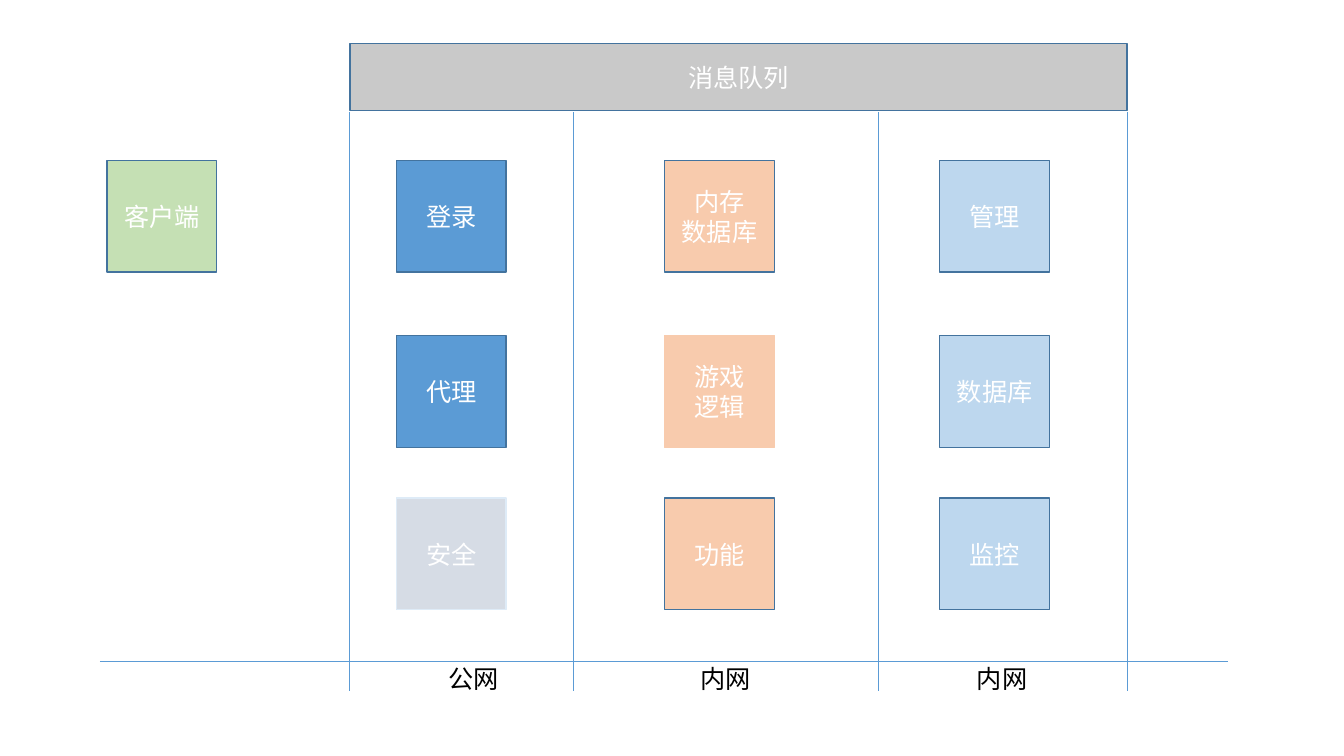
from pptx import Presentation
from pptx.dml.color import RGBColor
from pptx.enum.shapes import MSO_CONNECTOR, MSO_SHAPE
from pptx.enum.text import MSO_ANCHOR, MSO_AUTO_SIZE, PP_ALIGN
from pptx.oxml.ns import qn
from pptx.util import Inches, Pt
from lxml import etree

RECTANGLE = MSO_SHAPE.RECTANGLE
STRAIGHT = MSO_CONNECTOR.STRAIGHT
MIDDLE = MSO_ANCHOR.MIDDLE
CENTER = PP_ALIGN.CENTER
LEFT = PP_ALIGN.LEFT
FIT_SHAPE = MSO_AUTO_SIZE.SHAPE_TO_FIT_TEXT

BORDER = "43739E"
PEACH = "F8CBAD"
BLUE = "5B9BD5"
PALE_BLUE = "BDD7EE"


def color(value):
    return RGBColor.from_string(value)


def write_text(frame, text, tint="FFFFFF", size=18, font="Calibri", align=CENTER):
    for index, line in enumerate(text.split("\n")):
        para = frame.add_paragraph() if index else frame.paragraphs[0]
        para.alignment = align
        span = para.add_run()
        span.text = line
        span.font.size = Pt(size)
        span.font.name = font
        span.font.color.rgb = color(tint)


class Diagram:
    rule_color = BLUE
    rule_width = 0.5
    border_width = 1

    def __init__(self, page):
        self.page = page

    def block(self, text, left, top, width, height, fill, border=BORDER):
        box = self.page.shapes.add_shape(
            RECTANGLE, Inches(left), Inches(top), Inches(width), Inches(height))
        box.shadow.inherit = False
        box.fill.solid()
        box.fill.fore_color.rgb = color(fill)
        box.line.color.rgb = color(border)
        box.line.width = Pt(self.border_width)
        box.text_frame.vertical_anchor = MIDDLE
        write_text(box.text_frame, text)

    def rule(self, left, top, right, bottom):
        line = self.page.shapes.add_connector(
            STRAIGHT, Inches(left), Inches(top), Inches(right), Inches(bottom))
        line.line.color.rgb = color(self.rule_color)
        line.line.width = Pt(self.rule_width)
        etree.SubElement(line._element.spPr, qn("a:effectLst"))

    def label(self, text, left, top, width, height):
        box = self.page.shapes.add_textbox(
            Inches(left), Inches(top), Inches(width), Inches(height))
        box.text_frame.word_wrap = False
        box.text_frame.auto_size = FIT_SHAPE
        write_text(box.text_frame, text, tint="000000", align=LEFT)


deck = Presentation()
deck.slide_width = Inches(13.33)
deck.slide_height = Inches(7.5)
diagram = Diagram(deck.slides.add_slide(deck.slide_layouts[6]))

zone_edges = [3.47, 5.69, 8.71, 11.18]
row_tops = [1.59, 3.33, 4.94]
block_size = (1.09, 1.11)

zones = [
    (3.93, 4.35, "公网", [("登录", BLUE, BORDER), ("代理", BLUE, BORDER),
                        ("安全", "D6DCE5", "DEEBF7")]),
    (6.59, 6.85, "内网", [("内存\n数据库", PEACH, BORDER), ("游戏\n逻辑", PEACH, PEACH),
                        ("功能", PEACH, BORDER)]),
    (9.32, 9.59, "内网", [("管理", PALE_BLUE, BORDER), ("数据库", PALE_BLUE, BORDER),
                        ("监控", PALE_BLUE, BORDER)]),
]

diagram.block("客户端", 1.06, row_tops[0], *block_size, "C5E0B4")
diagram.block("消息队列", zone_edges[0], 0.43, zone_edges[-1] - zone_edges[0], 0.67, "C9C9C9")

for edge in zone_edges:
    diagram.rule(edge, 1.11, edge, 6.86)
diagram.rule(0.99, 6.56, 12.18, 6.56)

for block_left, label_left, network, services in zones:
    diagram.label(network, label_left, 6.53, 0.71, 0.4)
    for top, (service, fill, border) in zip(row_tops, services):
        diagram.block(service, block_left, top, *block_size, fill, border)

deck.save("out.pptx")
